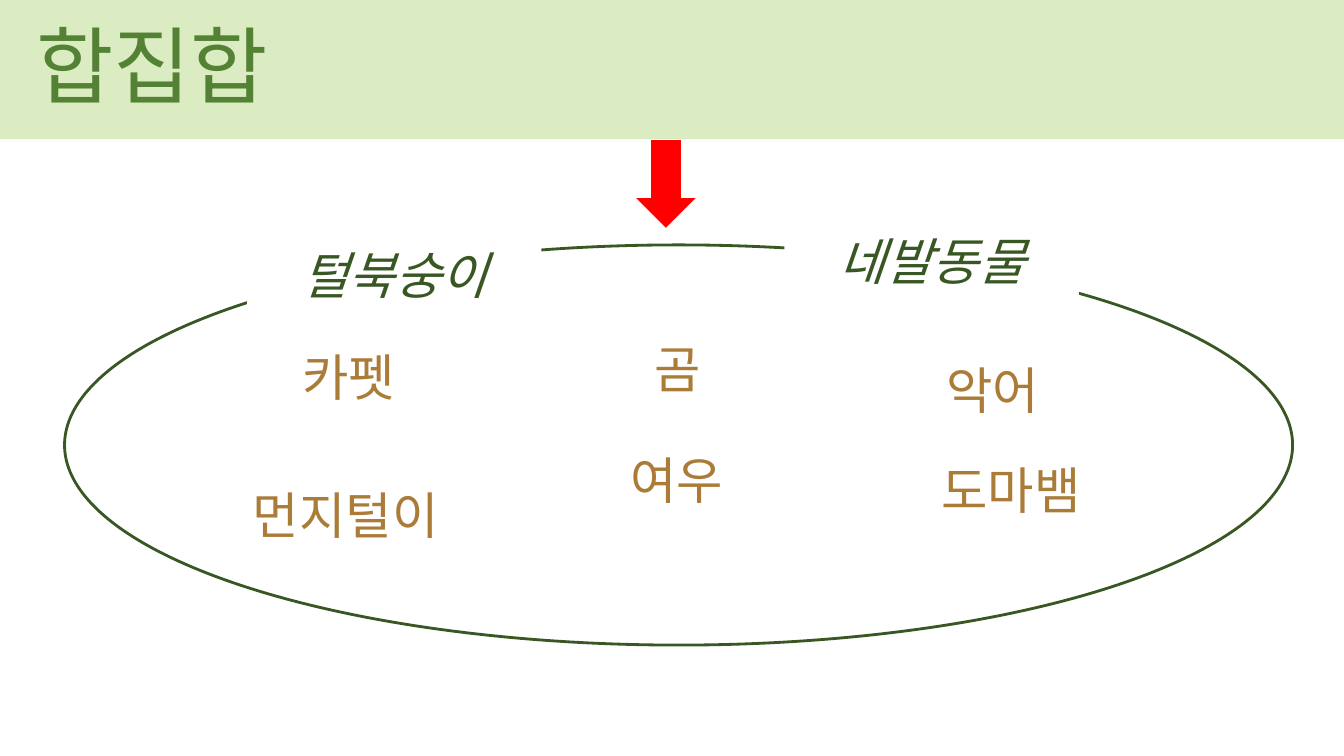
from dataclasses import dataclass

from lxml import etree
from pptx import Presentation
from pptx import util as u
from pptx.dml.color import RGBColor
from pptx.enum import shapes, text
from pptx.oxml import ns

FONT = "Noto Sans CJK KR"
WHITE = RGBColor(0xFF, 0xFF, 0xFF)
BAND_GREEN = RGBColor(0xDC, 0xEC, 0xC2)
TITLE_GREEN = RGBColor(0x54, 0x82, 0x35)
DARK_GREEN = RGBColor(0x38, 0x57, 0x23)
BROWN = RGBColor(0xAA, 0x7C, 0x38)
RED = RGBColor(0xFF, 0x00, 0x00)
TEXT_HEIGHT = 0.71


@dataclass(frozen=True)
class Box:
    left: float
    top: float
    width: float
    height: float = TEXT_HEIGHT

    def lengths(self) -> list:
        return [u.Inches(side) for side in (self.left, self.top, self.width, self.height)]


@dataclass(frozen=True)
class Label:
    wording: str
    box: Box


SET_NAMES = [
    Label("털북숭이", Box(2.45, 2.37, 2.92)),
    Label("네발동물", Box(7.78, 2.23, 2.92)),
]
MEMBERS = [
    Label("카펫", Box(2.9, 3.38, 1.37)),
    Label("먼지털이", Box(2.41, 4.75, 2.21)),
    Label("곰", Box(6.39, 3.3, 0.8)),
    Label("여우", Box(6.15, 4.41, 1.71)),
    Label("악어", Box(9.29, 3.51, 1.71)),
    Label("도마뱀", Box(9.24, 4.51, 1.71)),
]


def write(shape, wording: str, size: int, color: RGBColor,
          alignment=text.PP_ALIGN.LEFT, anchor=text.MSO_ANCHOR.TOP, italic=False) -> None:
    frame = shape.text_frame
    frame.text = wording
    frame.word_wrap = True
    frame.auto_size = text.MSO_AUTO_SIZE.SHAPE_TO_FIT_TEXT
    frame.vertical_anchor = anchor
    paragraph = frame.paragraphs[0]
    paragraph.alignment = alignment
    paragraph.line_spacing = 1.0
    font = paragraph.font
    font.name = FONT
    font.size = u.Pt(size)
    font.italic = italic
    font.color.rgb = color
    properties = paragraph._p.pPr.find(ns.qn("a:defRPr"))
    etree.SubElement(properties, ns.qn("a:ea"), typeface=FONT)


def add_filled(slide, kind, box: Box, fill: RGBColor):
    shape = slide.shapes.add_shape(kind, *box.lengths())
    shape.shadow.inherit = False
    shape.fill.solid()
    shape.fill.fore_color.rgb = fill
    shape.line.fill.background()
    return shape


def add_union(slide) -> None:
    ellipse = slide.shapes.add_shape(
        shapes.MSO_SHAPE.OVAL, *Box(0.64, 2.43, 12.18, 3.97).lengths())
    ellipse.shadow.inherit = False
    ellipse.fill.background()
    ellipse.line.color.rgb = DARK_GREEN
    ellipse.line.width = u.Pt(2)


def add_title(slide) -> None:
    band = add_filled(slide, shapes.MSO_SHAPE.RECTANGLE, Box(0, 0, 13.33, 1.38), BAND_GREEN)
    title = slide.shapes.title
    band.element.addnext(title.element)
    title.left, title.top, title.width, title.height = Box(0.26, 0.08, 12.15, 1.11).lengths()
    write(title, "합집합", 60, TITLE_GREEN)


def add_set_name(slide, label: Label) -> None:
    shape = add_filled(slide, shapes.MSO_SHAPE.RECTANGLE, label.box, WHITE)
    write(shape, label.wording, 36, DARK_GREEN,
          text.PP_ALIGN.CENTER, text.MSO_ANCHOR.MIDDLE, italic=True)


def add_member(slide, label: Label) -> None:
    shape = slide.shapes.add_textbox(*label.box.lengths())
    write(shape, label.wording, 36, BROWN)


def main() -> None:
    presentation = Presentation()
    presentation.slide_width = u.Inches(13.33)
    presentation.slide_height = u.Inches(7.5)
    slide = presentation.slides.add_slide(presentation.slide_layouts[5])
    add_union(slide)
    add_title(slide)
    for label in SET_NAMES:
        add_set_name(slide, label)
    for label in MEMBERS:
        add_member(slide, label)
    add_filled(slide, shapes.MSO_SHAPE.DOWN_ARROW, Box(6.31, 1.39, 0.59, 0.87), RED)
    presentation.save("out.pptx")


if __name__ == "__main__":
    main()
